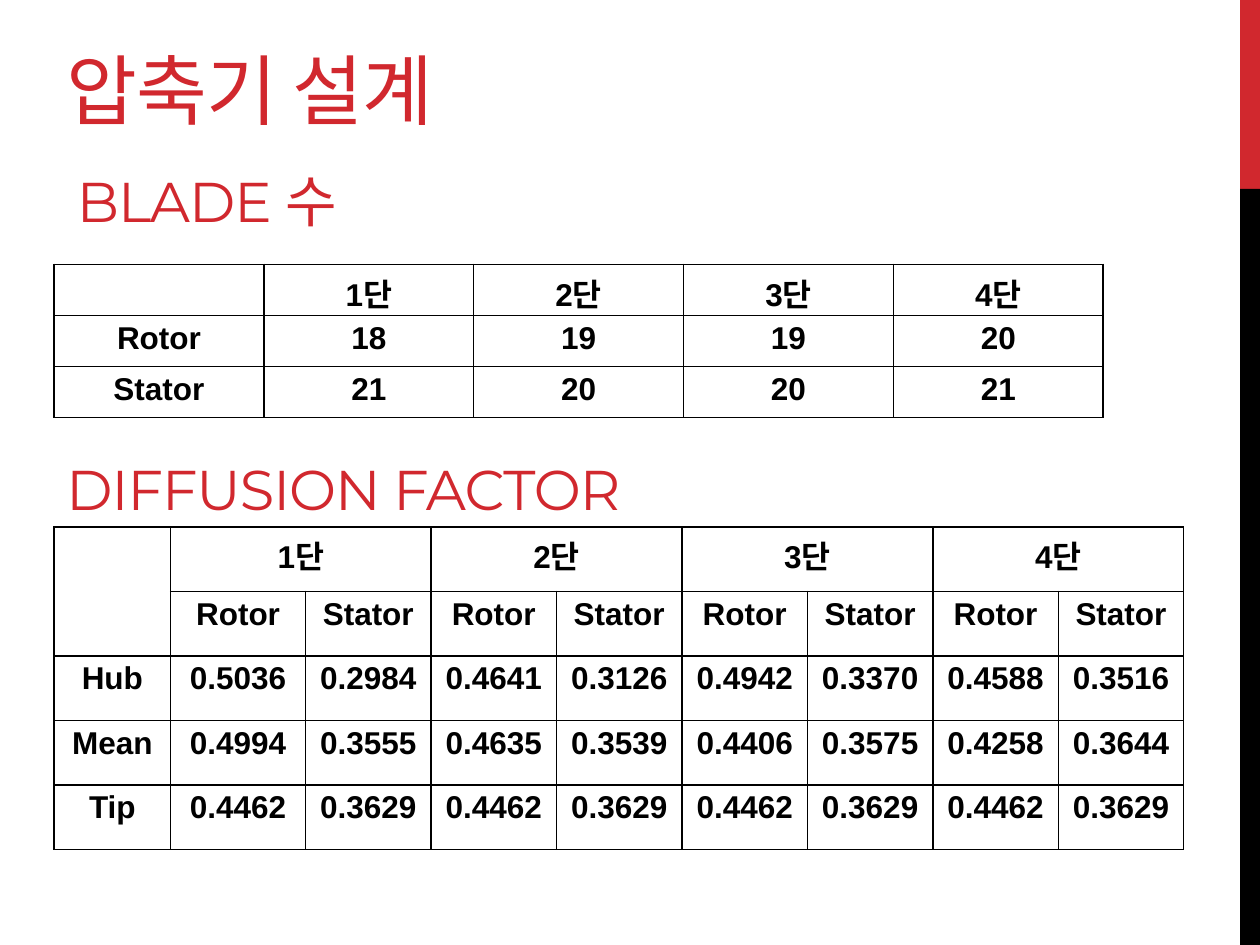
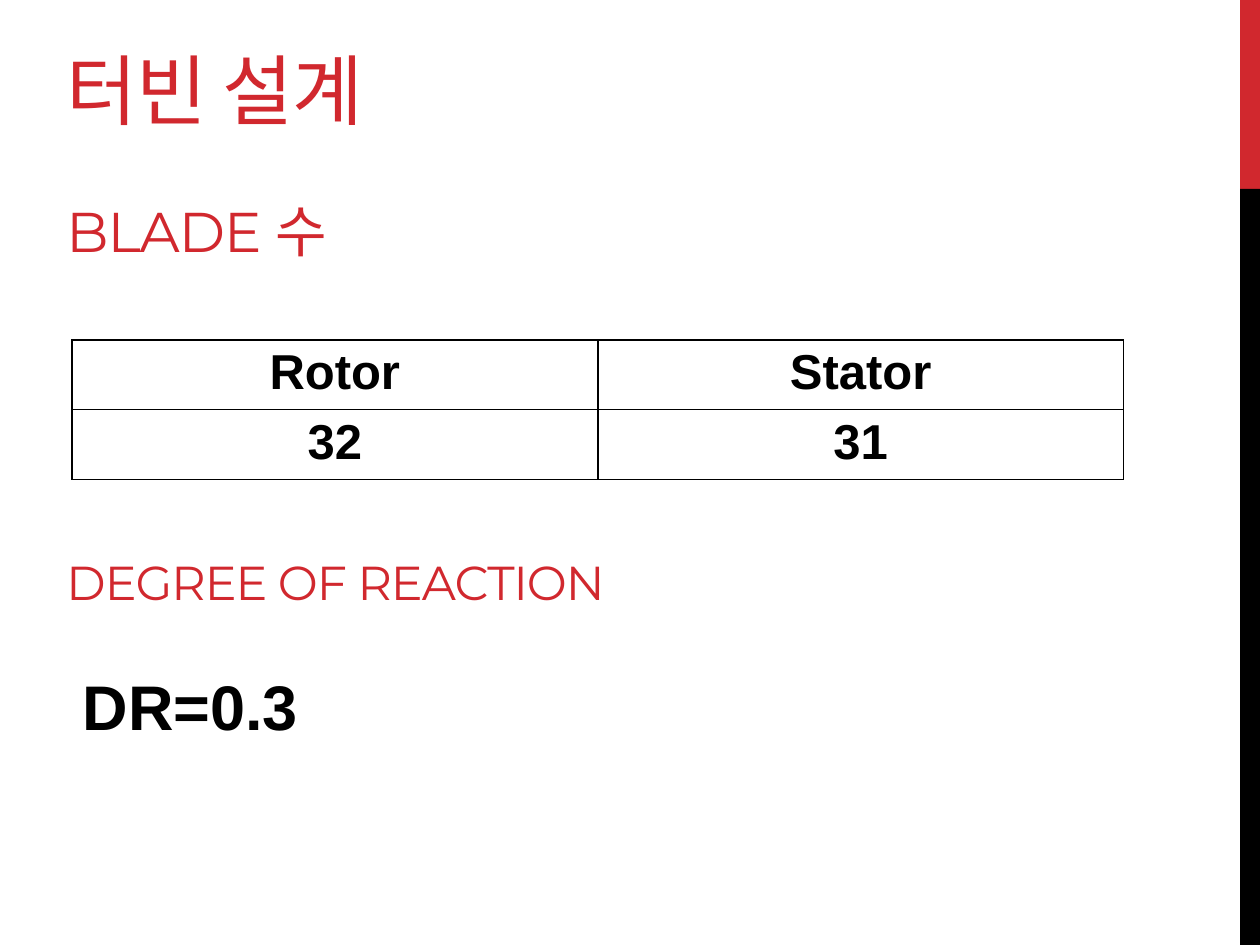
from lxml.etree import SubElement
from pptx import Presentation
from pptx.dml.color import RGBColor
from pptx.enum.shapes import MSO_SHAPE
from pptx.enum.text import MSO_ANCHOR, PP_ALIGN
from pptx.oxml import parse_xml
from pptx.oxml.ns import nsdecls
from pptx.util import Cm, Pt

RED = RGBColor(0xD1, 0x28, 0x2E)
BLACK = RGBColor(0, 0, 0)
HEADING_FONT = "Montserrat"
BODY_FONT = "Arial"
LEFT = 1.09
SLIDE_WIDTH, SLIDE_HEIGHT = 25.4, 19.05
BAND_WIDTH, RED_BAND_HEIGHT = 0.4, 3.81


def add_heading(slide, text, left, top, width, height, size):
    """Add a red heading that sits on the bottom of its box."""
    heading = slide.shapes.add_textbox(Cm(left), Cm(top), Cm(width), Cm(height))
    frame = heading.text_frame
    frame.word_wrap = True
    frame.vertical_anchor = MSO_ANCHOR.BOTTOM
    frame.text = text
    run = frame.paragraphs[0].runs[0]
    run.font.size = Pt(size)
    run.font.name = HEADING_FONT
    run.font.color.rgb = RED
    run.font._element.set("spc", "-60")


def add_grid(slide, rows, left, top, widths, row_height, size):
    """Add an unfilled table with black borders and return it."""
    frame = slide.shapes.add_table(len(rows), len(widths), Cm(left), Cm(top),
                                   Cm(sum(widths)), Cm(row_height * len(rows)))
    grid = frame.table
    grid.first_row = grid.horz_banding = False
    for column, width in zip(grid.columns, widths):
        column.width = Cm(width)
    for r, values in enumerate(rows):
        grid.rows[r].height = Cm(row_height)
        for c, value in enumerate(values):
            cell = grid.cell(r, c)
            cell.margin_top = cell.margin_bottom = Cm(0.11)
            cell.fill.background()
            properties = cell._tc.get_or_add_tcPr()
            for position, side in enumerate(("lnL", "lnR", "lnT", "lnB")):
                border = parse_xml(f'<a:{side} {nsdecls("a")} w="12700"/>')
                fill = SubElement(border, f"{{{border.nsmap['a']}}}solidFill")
                SubElement(fill, f"{{{border.nsmap['a']}}}srgbClr", val=str(BLACK))
                properties.insert(position, border)
            cell.text_frame.text = value
            paragraph = cell.text_frame.paragraphs[0]
            paragraph.alignment = PP_ALIGN.CENTER
            for run in paragraph.runs:
                run.font.size = Pt(size)
                run.font.name = BODY_FONT
                run.font.bold = True
                run.font.color.rgb = BLACK
    return grid


deck = Presentation()
deck.slide_width, deck.slide_height = Cm(SLIDE_WIDTH), Cm(SLIDE_HEIGHT)
blank = deck.slide_layouts[6]

# Title and side bands shared by both slides
compressor, turbine = deck.slides.add_slide(blank), deck.slides.add_slide(blank)
for slide, title in ((compressor, "압축기 설계"), (turbine, "터빈 설계")):
    for top, height, color in ((0, RED_BAND_HEIGHT, RED),
                               (RED_BAND_HEIGHT, SLIDE_HEIGHT - RED_BAND_HEIGHT, BLACK)):
        band = slide.shapes.add_shape(MSO_SHAPE.RECTANGLE, Cm(SLIDE_WIDTH - BAND_WIDTH),
                                      Cm(top), Cm(BAND_WIDTH), Cm(height))
        band.shadow.inherit = False
        band.fill.solid()
        band.fill.fore_color.rgb = color
        band.line.fill.background()
    add_heading(slide, title, LEFT, 0.33, 20.8, 2.51, 44)

# Compressor design
stages = [f"{number}단" for number in range(1, 5)]
add_heading(compressor, "BLADE 수", 1.3, 2.72, 6.4, 2.11, 32)
blade_counts = [
    ["", *stages],
    ["Rotor", "18", "19", "19", "20"],
    ["Stator", "21", "20", "20", "21"],
]
add_grid(compressor, blade_counts, LEFT, 5.33, [4.23] * 5, 1.03, 18)

add_heading(compressor, "DIFFUSION FACTOR", LEFT, 8.53, 13.77, 2.11, 32)
stage_header = [""]
for stage in stages:
    stage_header += [stage, ""]
diffusion_factors = [
    stage_header,
    ["", *["Rotor", "Stator"] * 4],
    ["Hub", "0.5036", "0.2984", "0.4641", "0.3126", "0.4942", "0.3370", "0.4588", "0.3516"],
    ["Mean", "0.4994", "0.3555", "0.4635", "0.3539", "0.4406", "0.3575", "0.4258", "0.3644"],
    ["Tip", *["0.4462", "0.3629"] * 4],
]
diffusion = add_grid(compressor, diffusion_factors, LEFT, 10.62,
                     [2.35, 2.72] + [2.53] * 7, 1.3, 18)
diffusion.cell(0, 0).merge(diffusion.cell(1, 0))
for column in range(1, 9, 2):
    diffusion.cell(0, column).merge(diffusion.cell(0, column + 1))

# Turbine design
add_heading(turbine, "BLADE 수", LEFT, 3.33, 6.4, 2.11, 32)
add_grid(turbine, [["Rotor", "Stator"], ["32", "31"]], 1.45, 6.85, [10.6] * 2, 1.35, 28)
add_heading(turbine, "DEGREE OF REACTION", LEFT, 10.31, 12.19, 2.11, 27.2)

reaction = turbine.shapes.add_textbox(Cm(1.42), Cm(13.33), Cm(7.77), Cm(1.8))
reaction.text_frame.word_wrap = True
reaction.text_frame.text = "DR=0.3"
reaction_font = reaction.text_frame.paragraphs[0].runs[0].font
reaction_font.size = Pt(36)
reaction_font.name = BODY_FONT
reaction_font.bold = True
reaction_font.color.rgb = BLACK

deck.save("out.pptx")
